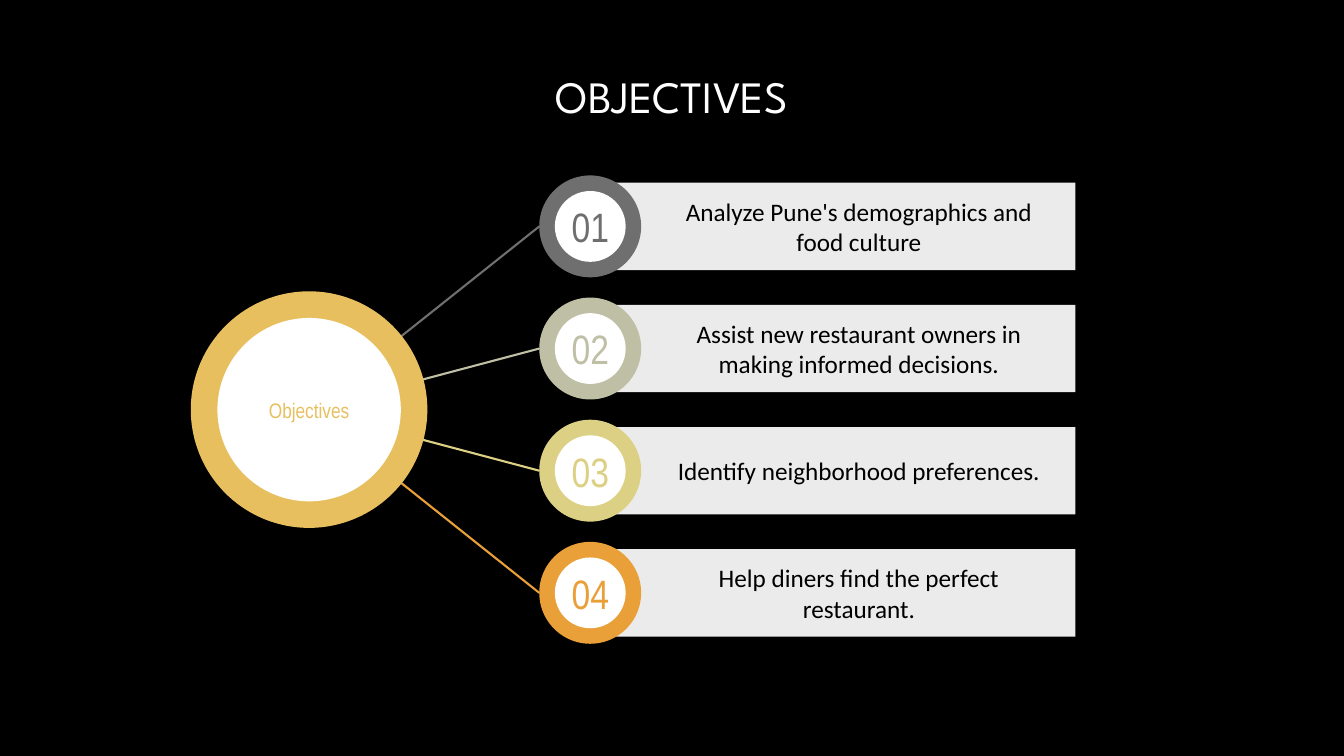
import pptx
import pptx.util
import pptx.dml.color
import pptx.enum.shapes
import pptx.enum.text
import pptx.oxml.ns
import lxml.etree

Pt = pptx.util.Pt
RGB = pptx.dml.color.RGBColor
KIND = pptx.enum.shapes.MSO_SHAPE
TEXT = pptx.enum.text

BLACK = RGB(0x00, 0x00, 0x00)
WHITE = RGB(0xFF, 0xFF, 0xFF)
PALE = RGB(0xEB, 0xEB, 0xEB)
GOLD = RGB(0xE7, 0xBF, 0x5F)

# Content
TITLE = "OBJECTIVES"
HUB = "Objectives"
GOALS = [
    ("01", "Analyze Pune's demographics and food culture", RGB(0x6F, 0x6F, 0x6F)),
    ("02", "Assist new restaurant owners in making informed decisions.", RGB(0xBF, 0xBF, 0xA5)),
    ("03", "Identify neighborhood preferences.", RGB(0xDC, 0xD0, 0x84)),
    ("04", "Help diners find the perfect restaurant.", RGB(0xE9, 0xA0, 0x39)),
]

# Layout, in points
HUB_X, HUB_Y = 220.8, 292.6
HUB_RING, HUB_DISC = 169, 131
PITCH = 87.25
RING_X, RING, DISC = 421.6, 72.8, 50.6
BAR_X, BAR_W, BAR_H = 420.5, 347.6, 62.4
PAD = 9.6

deck = pptx.Presentation()
deck.slide_width, deck.slide_height = Pt(960), Pt(540)
slide = deck.slides.add_slide(deck.slide_layouts[5])
slide.background.fill.solid()
slide.background.fill.fore_color.rgb = BLACK


def write(shape, words, size, font, color, left=PAD, right=PAD):
    frame = shape.text_frame
    frame.word_wrap = True
    frame.auto_size = TEXT.MSO_AUTO_SIZE.NONE
    frame.vertical_anchor = TEXT.MSO_ANCHOR.MIDDLE
    frame.margin_left, frame.margin_right = Pt(left), Pt(right)
    frame.margin_top = frame.margin_bottom = Pt(PAD)
    para = frame.paragraphs[0]
    para.alignment = TEXT.PP_ALIGN.CENTER
    run = para.add_run()
    run.text = words
    run.font.size, run.font.name = Pt(size), font
    run.font.color.rgb = color


def draw(kind, x, y, w, h, color):
    shape = slide.shapes.add_shape(kind, Pt(x), Pt(y), Pt(w), Pt(h))
    shape.shadow.inherit = False
    shape.fill.solid()
    shape.fill.fore_color.rgb = color
    shape.line.fill.background()
    return shape


def disc(x, y, size, color):
    """Circle centred on x, y."""
    return draw(KIND.OVAL, x - size / 2, y - size / 2, size, size, color)


def link(x, y, color):
    """Line from the hub's centre to x, y."""
    line = slide.shapes.add_connector(
        pptx.enum.shapes.MSO_CONNECTOR.STRAIGHT, Pt(HUB_X), Pt(HUB_Y), Pt(x), Pt(y))
    line.line.color.rgb = color
    line.line.width = Pt(1.5)
    lxml.etree.SubElement(line._element.spPr, pptx.oxml.ns.qn("a:effectLst"))


# Title
title = slide.shapes.title
title.left, title.top, title.width, title.height = Pt(48), Pt(43.2), Pt(864), Pt(50.4)
write(title, TITLE, 32, "League Spartan", WHITE)

# Goals: bar, ring, link and number
for i, (num, goal, color) in enumerate(GOALS):
    y = HUB_Y + (i - (len(GOALS) - 1) / 2) * PITCH
    bar = draw(KIND.RECTANGLE, BAR_X, y - BAR_H / 2, BAR_W, BAR_H, PALE)
    write(bar, goal, 18, "Calibri", BLACK, 57.6, 19.2)
    disc(RING_X, y, RING, color)
    link(RING_X - RING / 2, y, color)
    write(disc(RING_X, y, DISC, WHITE), num, 29.3, "Arial Narrow", color, 0, 0)

# Hub, over the ends of the links
disc(HUB_X, HUB_Y, HUB_RING, GOLD)
write(disc(HUB_X, HUB_Y, HUB_DISC, WHITE), HUB, 15, "Arial Narrow", GOLD)

deck.save("out.pptx")
